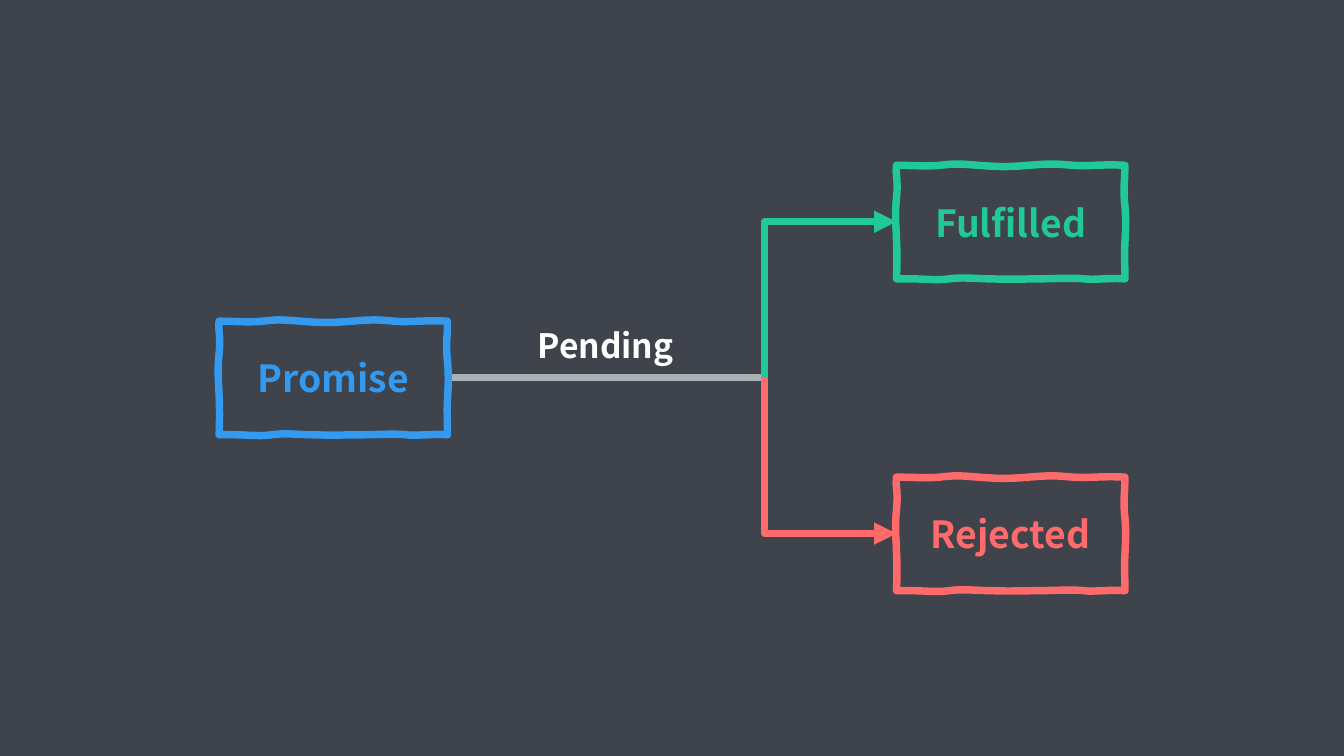
from lxml.etree import SubElement
from pptx import Presentation
from pptx.dml.color import RGBColor
from pptx.enum.shapes import MSO_CONNECTOR
from pptx.enum.text import MSO_ANCHOR, MSO_AUTO_SIZE, PP_ALIGN
from pptx.oxml.ns import qn
from pptx.util import Emu, Pt

PX = 9144  # EMU per px, 100 px to the inch
COLORS = {"bg": "3F434C", "gray": "AAB2B5", "blue": "339AF0",
          "green": "20C997", "red": "FF6B6B", "white": "FFFFFF"}

# Hand-drawn frame: two control points and an end point per curve
BOX_W, BOX_H = 340, 169
FRAME = [
    # top
    ((25, 0), (41, 2), (65, 0)), ((88, -3), (96, -2), (122, 0)),
    ((149, 2), (161, 3), (197, 0)), ((233, -3), (238, -2), (262, 0)),
    ((285, 2), (303, -2), (340, 0)),
    # right
    ((340, 24), (337, 35), (340, 60)), ((342, 84), (341, 97), (340, 116)),
    ((339, 135), (340, 146), (340, 169)),
    # bottom
    ((321, 167), (293, 171), (279, 169)), ((264, 167), (227, 169), (211, 169)),
    ((195, 169), (166, 170), (143, 169)), ((119, 169), (99, 166), (78, 169)),
    ((58, 172), (39, 168), (0, 169)),
    # left
    ((1, 154), (1, 124), (0, 109)), ((0, 95), (-3, 79), (0, 49)),
    ((3, 20), (-2, 11), (0, 0)),
]


def px(n):
    return Emu(int(n * PX))


def rgb(name):
    return RGBColor.from_string(COLORS[name])


class Sketch:
    font = {"name": "Noto Sans CJK SC", "bold": True}
    line_width = Pt(8)

    def __init__(self, slide):
        self.slide = slide
        self.shapes = slide.shapes

    def background(self, color):
        fill = self.slide.background.fill
        fill.solid()
        fill.fore_color.rgb = rgb(color)

    def stroke(self, sp, color):
        sp.line.color.rgb = rgb(color)
        sp.line.width = self.line_width

    def add_text(self, sp, text, size, color, align):
        p = sp.text_frame.paragraphs[0]
        p.alignment = align
        r = p.add_run()
        r.text = text
        for key, value in {**self.font, "size": Pt(size)}.items():
            setattr(r.font, key, value)
        r.font.color.rgb = rgb(color)

    def box(self, x, mid_y, text, color):
        builder = self.shapes.build_freeform(0, 0, scale=PX)
        builder.add_line_segments([end for _, _, end in FRAME], close=True)
        sp = builder.convert_to_shape(px(x), px(mid_y - BOX_H // 2))
        # Turn each straight side into a curve
        for seg, controls in zip(list(sp._element.iter(qn("a:lnTo"))), FRAME):
            seg.tag = qn("a:cubicBezTo")
            for i, (cx, cy) in enumerate(controls[:2]):
                pt = SubElement(seg, qn("a:pt"), x=str(cx), y=str(cy))
                seg.insert(i, pt)
        sp.shadow.inherit = False
        sp.fill.background()
        self.stroke(sp, color)
        sp.text_frame.vertical_anchor = MSO_ANCHOR.MIDDLE
        self.add_text(sp, text, 40, color, PP_ALIGN.CENTER)

    def line(self, x1, y1, x2, y2, color, kind=MSO_CONNECTOR.STRAIGHT):
        sp = self.shapes.add_connector(kind, px(x1), px(y1), px(x2), px(y2))
        self.stroke(sp, color)
        SubElement(sp._element.spPr, qn("a:effectLst"))
        return sp

    def elbow(self, x1, y1, x2, y2, color):
        """Vertical run, then a horizontal run that ends in an arrowhead."""
        up = y2 < y1
        cx, cy = (x1 + x2) / 2, (y1 + y2) / 2
        half_w, half_h = abs(y2 - y1) / 2, (x2 - x1) / 2
        side = half_h if up else -half_h
        sp = self.line(cx + half_w, cy + side, cx - half_w, cy - side,
                       color, MSO_CONNECTOR.ELBOW)
        sp._element.spPr.find(qn("a:prstGeom")).set("prst", "bentConnector2")
        sp._element.spPr.find(qn("a:xfrm")).set("rot", str((90 if up else 270) * 60000))
        ln = sp._element.spPr.find(qn("a:ln"))
        SubElement(ln, qn("a:tailEnd"), type="triangle")

    def label(self, x, y, w, h, text, color):
        sp = self.shapes.add_textbox(px(x), px(y), px(w), px(h))
        sp.text_frame.word_wrap = False
        sp.text_frame.auto_size = MSO_AUTO_SIZE.SHAPE_TO_FIT_TEXT
        self.add_text(sp, text, 36, color, PP_ALIGN.LEFT)


def main():
    prs = Presentation()
    prs.slide_width, prs.slide_height = px(2000), px(1125)
    s = Sketch(prs.slides.add_slide(prs.slide_layouts[6]))
    s.background("bg")

    left, fork, right = 326, 1138, 1334
    mid, rise = 562, 232

    # Pending promise
    s.line(left + BOX_W, mid, fork, mid, "gray")
    s.box(left, mid, "Promise", "blue")

    # Outcomes
    for text, color, y in (("Fulfilled", "green", mid - rise),
                           ("Rejected", "red", mid + rise)):
        s.elbow(fork, mid, right, y, color)
        s.box(right, y, text, color)

    # State name above the line
    s.label(790, 478, 224, 71, "Pending", "white")

    prs.save("out.pptx")


if __name__ == "__main__":
    main()
